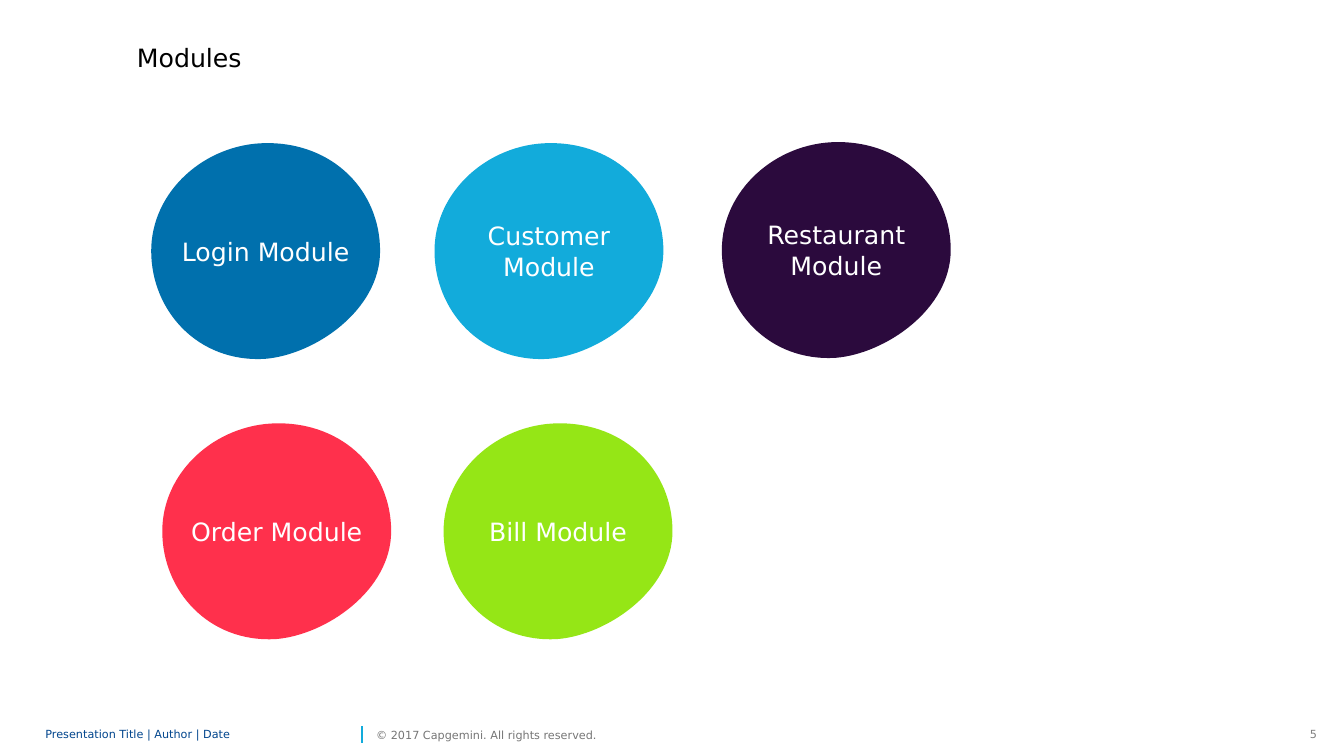
from lxml import etree
from pptx import Presentation
from pptx import util as u
from pptx.dml.color import RGBColor
from pptx.enum import shapes, text
from pptx.oxml.ns import qn

CELL = u.Inches(1)
COLUMNS, ROWS = 13.33, 7.5
FONT = "DejaVu Sans"
COLORS = {
    "black": "000000", "white": "FFFFFF", "navy": "00458D",
    "number": "808080", "copyright": "767676", "cyan": "12ABDB",
    "blue": "0070AD", "purple": "2B0A3D", "red": "FF304C", "green": "95E616",
}
MODULES = [
    ("Bill Module", "green", 4.4, 4.2),
    ("Order Module", "red", 1.61, 4.2),
    ("Customer Module", "cyan", 4.31, 1.42),
    ("Login Module", "blue", 1.5, 1.42),
    ("Restaurant Module", "purple", 7.16, 1.41),
]
BLOB_UNIT = CELL / 100
BLOB_START = (0, 107)
BLOB_CURVES = [
    ((0, 48), (53, 1), (113, 0)),
    ((181, -1), (227, 48), (227, 107)),
    ((227, 166), (162, 210), (113, 214)),
    ((46, 218), (0, 166), BLOB_START),
]


def cells(count):
    return round(count * CELL)


def color(name):
    return RGBColor.from_string(COLORS[name])


def write(frame, words, size=18, ink="black", align="LEFT", anchor="MIDDLE",
          wrap=True, inset=(0.1, 0.05), spacing=None):
    frame.word_wrap = wrap
    frame.vertical_anchor = text.MSO_ANCHOR[anchor]
    frame.margin_left = frame.margin_right = cells(inset[0])
    frame.margin_top = frame.margin_bottom = cells(inset[1])
    paragraph = frame.paragraphs[0]
    paragraph.alignment = text.PP_ALIGN[align]
    if spacing:
        paragraph.line_spacing = spacing
    run = paragraph.add_run()
    run.text = words
    run.font.name = FONT
    run.font.size = u.Pt(size)
    run.font.color.rgb = color(ink)


def add_label(slide, words, left, top, width, height, **style):
    label = slide.shapes.add_textbox(*map(cells, (left, top, width, height)))
    write(label.text_frame, words, **style)


def bend(outline):
    sides = list(outline._element.spPr.iter(qn("a:lnTo")))
    for side, (*handles, _) in zip(sides, BLOB_CURVES):
        side.tag = qn("a:cubicBezTo")
        for place, (x, y) in enumerate(handles):
            side.insert(place, etree.Element(qn("a:pt"), x=str(x), y=str(y)))


def add_module(slide, name, fill, left, top):
    builder = slide.shapes.build_freeform(*BLOB_START, scale=BLOB_UNIT)
    builder.add_line_segments([curve[-1] for curve in BLOB_CURVES], close=True)
    module = builder.convert_to_shape(cells(left), cells(top))
    bend(module)
    module.shadow.inherit = False
    module.fill.solid()
    module.fill.fore_color.rgb = color(fill)
    module.line.fill.background()
    write(module.text_frame, name, ink="white", align="CENTER")


def add_divider(slide, column, top, bottom):
    divider = slide.shapes.add_connector(
        shapes.MSO_CONNECTOR.STRAIGHT, *map(cells, (column, bottom, column, top)))
    divider.line.color.rgb = color("cyan")
    divider.line.width = u.Pt(1)
    etree.SubElement(divider._element.spPr, qn("a:effectLst"))


def add_footer(slide):
    top, height = 7.17, 0.24
    add_label(slide, "5", 12.89, top, 0.27, height,
              size=8, ink="number", align="RIGHT", anchor="TOP", wrap=False)
    add_divider(slide, 3.59, 7.2, 7.37)
    add_label(slide, "Presentation Title | Author | Date", 0.45, top, 3.09, height,
              size=8, ink="navy", inset=(0, 0), spacing=0.85)
    add_label(slide, "© 2017 Capgemini. All rights reserved.", 3.73, top, 2.43, height,
              size=8, ink="copyright", inset=(0, 0), wrap=False)


def main():
    deck = Presentation()
    deck.slide_width, deck.slide_height = cells(COLUMNS), cells(ROWS)
    slide = deck.slides.add_slide(deck.slide_layouts[6])
    add_footer(slide)
    add_label(slide, "Modules", 1.26, 0.37, 6.27, 0.4, anchor="TOP")
    for module in MODULES:
        add_module(slide, *module)
    deck.save("out.pptx")


if __name__ == "__main__":
    main()
